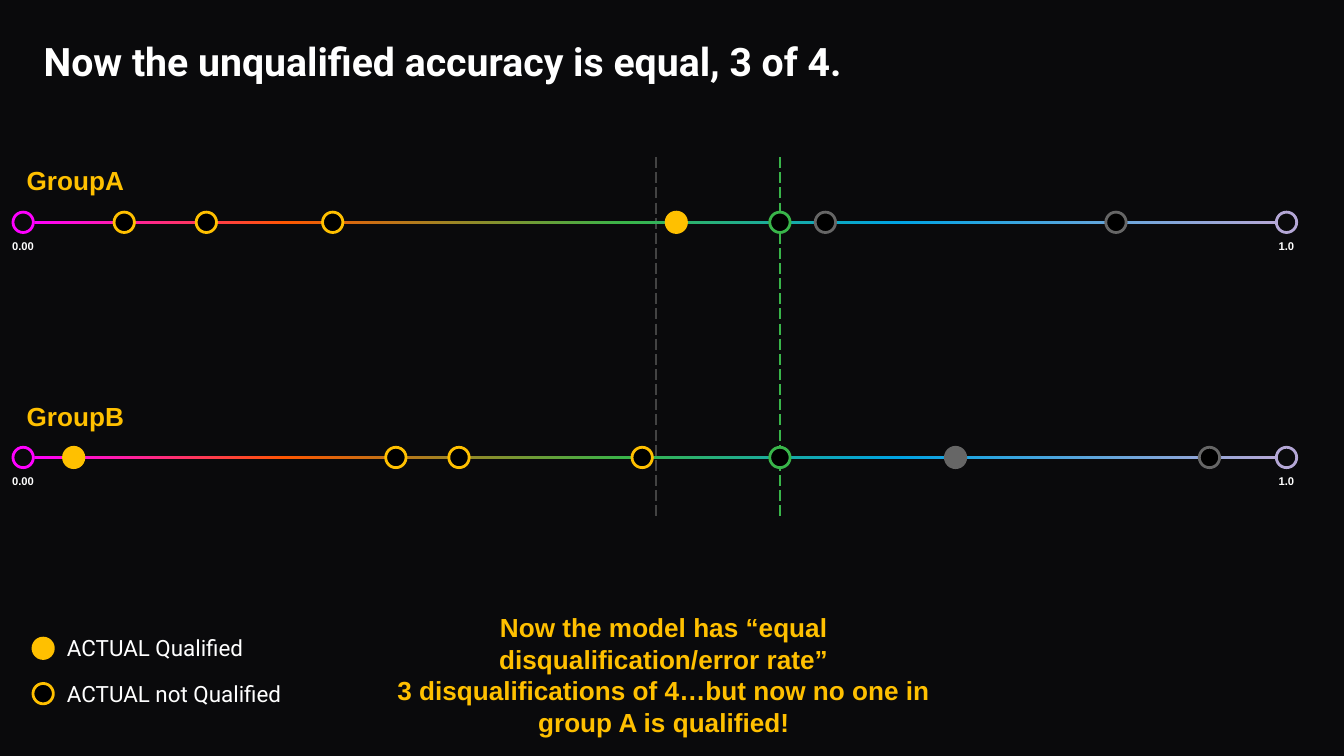
from dataclasses import dataclass

from pptx import Presentation
from pptx.dml.color import RGBColor
from pptx.enum.dml import MSO_LINE
from pptx.enum.shapes import MSO_CONNECTOR, MSO_SHAPE
from pptx.enum.text import MSO_ANCHOR, PP_ALIGN
from pptx.oxml.ns import qn
from pptx.slide import Slide
from pptx.util import Pt
from lxml import etree

LEFT, CENTER = PP_ALIGN.LEFT, PP_ALIGN.CENTER
TOP, MIDDLE = MSO_ANCHOR.TOP, MSO_ANCHOR.MIDDLE
OVAL, RECTANGLE = MSO_SHAPE.OVAL, MSO_SHAPE.RECTANGLE
STRAIGHT = MSO_CONNECTOR.STRAIGHT
LONG_DASH = MSO_LINE.LONG_DASH


@dataclass(frozen=True)
class Theme:
    background: str = "0A0A0C"
    hollow: str = "000000"
    text: str = "FFFFFF"
    accent: str = "FFC000"
    muted: str = "666666"
    old_threshold: str = "434343"
    magenta: str = "FF00FF"
    orange: str = "FF5600"
    green: str = "39B54A"
    blue: str = "00A4E4"
    lavender: str = "B4A7D6"
    heading_font: str = "Roboto"
    label_font: str = "Arial"
    title_size: float = 21
    label_size: float = 14
    legend_size: float = 12
    tick_size: float = 6


THEME = Theme()


@dataclass(frozen=True)
class TextStyle:
    font: str
    size: float
    color: str
    bold: bool = True
    align: PP_ALIGN = LEFT
    anchor: MSO_ANCHOR = MIDDLE
    inset: float = 7.2
    line_spacing: float = 1.0


TITLE = TextStyle(THEME.heading_font, THEME.title_size, THEME.text, inset=5.4, line_spacing=0.9)
GROUP_NAME = TextStyle(THEME.label_font, THEME.label_size, THEME.accent)
MESSAGE = TextStyle(THEME.label_font, THEME.label_size, THEME.accent, align=CENTER)
TICK = TextStyle(THEME.label_font, THEME.tick_size, THEME.text, align=CENTER, anchor=TOP, inset=3.6)
LEGEND = TextStyle(THEME.heading_font, THEME.legend_size, THEME.text, bold=False, anchor=TOP)


@dataclass(frozen=True)
class Candidate:
    score: float
    color: str
    qualified: bool = False


@dataclass(frozen=True)
class Group:
    name: str
    axis_y: float
    candidates: tuple[Candidate, ...]


@dataclass(frozen=True)
class Segment:
    start: float
    end: float
    start_color: str
    end_color: str


AXIS_START, AXIS_LENGTH = 12.4, 676.8
THRESHOLD, OLD_THRESHOLD = 0.599, 0.5
DOT_SIZE, DOT_LINE, AXIS_WEIGHT = 10.9, 1.5, 1.4
TICK_WIDTH = 44

SEGMENTS = (
    Segment(18.4, 154.4, THEME.magenta, THEME.orange),
    Segment(150.8, 335.9, THEME.orange, THEME.green),
    Segment(335.9, 480.6, THEME.green, THEME.blue),
    Segment(480.6, 682.9, THEME.blue, THEME.lavender),
)
GROUPS = (
    Group("GroupA", 119.1, (
        Candidate(0.08, THEME.accent),
        Candidate(0.145, THEME.accent),
        Candidate(0.245, THEME.accent),
        Candidate(0.517, THEME.accent, True),
        Candidate(0.635, THEME.muted),
        Candidate(0.865, THEME.muted),
    )),
    Group("GroupB", 245.1, (
        Candidate(0.04, THEME.accent, True),
        Candidate(0.295, THEME.accent),
        Candidate(0.345, THEME.accent),
        Candidate(0.49, THEME.accent),
        Candidate(0.738, THEME.muted, True),
        Candidate(0.939, THEME.muted),
    )),
)


def rgb(color: str) -> RGBColor:
    return RGBColor.from_string(color)


def score_x(score: float) -> float:
    return AXIS_START + AXIS_LENGTH * score


def add_text(page: Slide, text: str, left: float, top: float, width: float,
             height: float, style: TextStyle) -> None:
    box = page.shapes.add_textbox(Pt(left), Pt(top), Pt(width), Pt(height))
    frame = box.text_frame
    frame.word_wrap = True
    frame.vertical_anchor = style.anchor
    frame.margin_left = frame.margin_right = Pt(style.inset)
    frame.margin_top = frame.margin_bottom = Pt(min(style.inset, 7.2))
    frame.text = text
    for para in frame.paragraphs:
        para.alignment = style.align
        para.line_spacing = style.line_spacing
        for span in para.runs:
            span.font.name = style.font
            span.font.size = Pt(style.size)
            span.font.bold = style.bold
            span.font.color.rgb = rgb(style.color)


def add_dot(page: Slide, x: float, y: float, color: str, fill: str) -> None:
    dot = page.shapes.add_shape(OVAL, Pt(x - DOT_SIZE / 2), Pt(y - DOT_SIZE / 2),
                                Pt(DOT_SIZE), Pt(DOT_SIZE))
    dot.shadow.inherit = False
    dot.fill.solid()
    dot.fill.fore_color.rgb = rgb(fill)
    dot.line.color.rgb = rgb(color)
    dot.line.width = Pt(DOT_LINE)


def add_threshold(page: Slide, score: float, color: str) -> None:
    x = score_x(score)
    line = page.shapes.add_connector(STRAIGHT, Pt(x), Pt(84.2), Pt(x), Pt(277.9))
    line.line.color.rgb = rgb(color)
    line.line.width = Pt(0.75)
    line.line.dash_style = LONG_DASH
    etree.SubElement(line._element.spPr, qn("a:effectLst"))


def add_axis(page: Slide, y: float) -> None:
    axis = page.shapes.add_group_shape()
    for segment in SEGMENTS:
        bar = axis.shapes.add_shape(RECTANGLE, Pt(segment.start), Pt(y - AXIS_WEIGHT / 2),
                                    Pt(segment.end - segment.start), Pt(AXIS_WEIGHT))
        bar.shadow.inherit = False
        bar.line.fill.background()
        bar.fill.gradient()
        bar.fill.gradient_angle = 0
        for stop, color in zip(bar.fill.gradient_stops, (segment.start_color, segment.end_color)):
            stop.color.rgb = rgb(color)


def add_group(page: Slide, group: Group) -> None:
    y = group.axis_y
    for score, label, color in ((0, "0.00", THEME.magenta), (1, "1.0", THEME.lavender)):
        x = score_x(score)
        add_text(page, label, x - TICK_WIDTH / 2, y + 5.4, TICK_WIDTH, 31, TICK)
        add_dot(page, x, y, color, THEME.background)
    add_axis(page, y)
    add_dot(page, score_x(THRESHOLD), y, THEME.green, THEME.hollow)
    add_text(page, group.name, 7.2, y - 33.2, 124.6, 21.6, GROUP_NAME)
    for candidate in group.candidates:
        fill = candidate.color if candidate.qualified else THEME.hollow
        add_dot(page, score_x(candidate.score), y, candidate.color, fill)


def main() -> None:
    deck = Presentation()
    deck.slide_width, deck.slide_height = Pt(720), Pt(405)
    page = deck.slides.add_slide(deck.slide_layouts[6])
    page.background.fill.solid()
    page.background.fill.fore_color.rgb = rgb(THEME.background)

    add_threshold(page, OLD_THRESHOLD + 0.001, THEME.old_threshold)
    add_text(page, "Now the unqualified accuracy is equal, 3 of 4.", 18, 10.8, 659.5, 46.8, TITLE)
    add_threshold(page, THRESHOLD, THEME.green)
    for group in GROUPS:
        add_group(page, group)

    legend = (("ACTUAL Qualified", THEME.accent), ("ACTUAL not Qualified", THEME.hollow))
    for row, (label, fill) in enumerate(legend):
        y = 347.3 + 24.3 * row
        add_dot(page, 23.1, y, THEME.accent, fill)
        add_text(page, label, 28.8, y - 14.6, 165, 20.2, LEGEND)

    add_text(page, "Now the model has “equal disqualification/error rate”\n"
             "3 disqualifications of 4…but now no one in group A is qualified!",
             195.8, 350.6, 319.7, 21.6, MESSAGE)
    deck.save("out.pptx")


if __name__ == "__main__":
    main()
